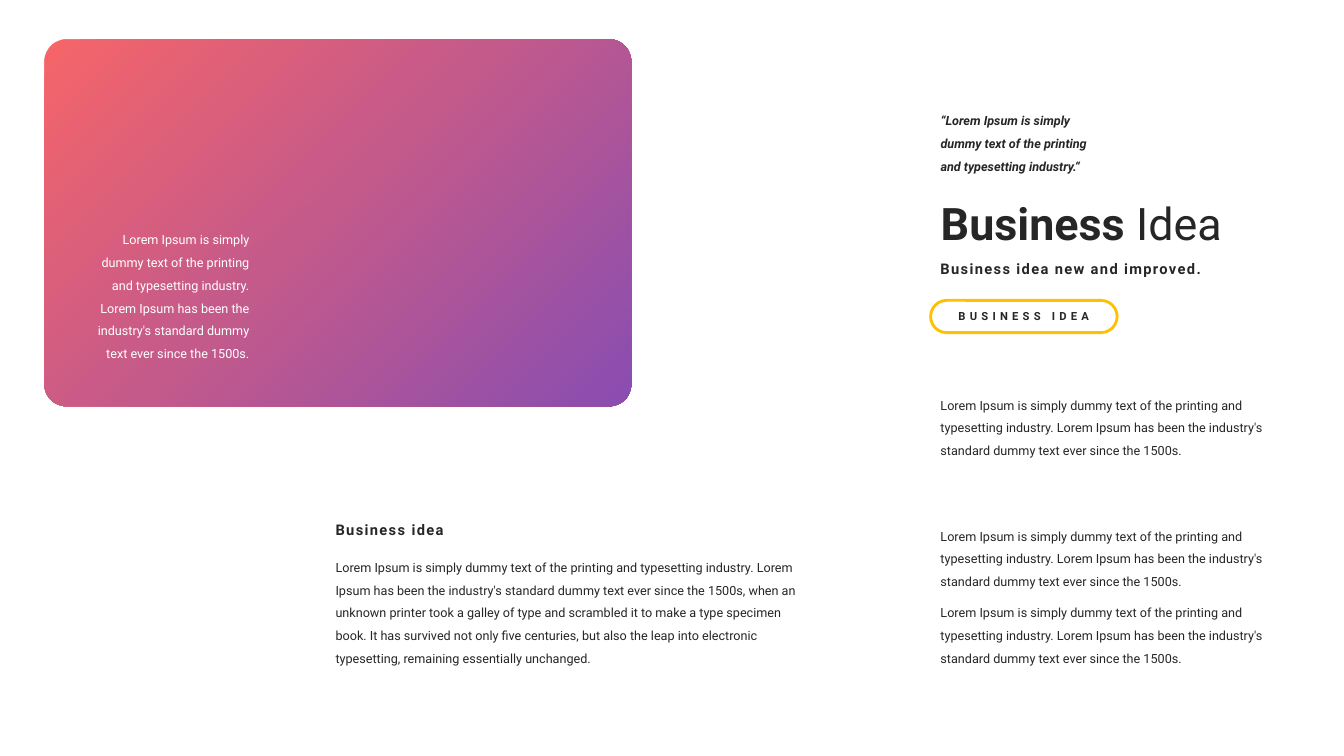
from copy import deepcopy

from pptx import Presentation
from pptx.dml.color import RGBColor
from pptx.enum.shapes import MSO_SHAPE as Shape
from pptx.enum.text import MSO_ANCHOR as Anchor, MSO_AUTO_SIZE as AutoSize, PP_ALIGN as Align
from pptx.util import Inches, Pt

FONT = "Roboto"
DARK = RGBColor(0x26, 0x26, 0x26)
WHITE = RGBColor(0xFF, 0xFF, 0xFF)
AMBER = RGBColor(0xFF, 0xC0, 0x00)
CORAL = RGBColor(0xF6, 0x65, 0x69)
ROSE = RGBColor(0xC4, 0x5A, 0x8A)
VIOLET = RGBColor(0x89, 0x4D, 0xB1)

RIGHT_COLUMN = 9.23
MIDDLE_COLUMN = 3.23
RIGHT_WIDTH = 3.57

QUOTE = "Lorem Ipsum is simply dummy text of the printing and typesetting industry."
BLURB = QUOTE + " Lorem Ipsum has been the industry's standard dummy text ever since the 1500s"
STORY = BLURB + (
    ", when an unknown printer took a galley of type and scrambled it to make a type"
    " specimen book. It has survived not only five centuries, but also the leap into"
    " electronic typesetting, remaining essentially unchanged."
)


def add_run(paragraph, text, size=9, color=DARK, bold=False, italic=False, tracking=0):
    """Append a run; tracking is the letter spacing in points."""
    run = paragraph.add_run()
    run.text = text
    run.font.name = FONT
    run.font.size = Pt(size)
    run.font.color.rgb = color
    run.font.bold = bold
    run.font.italic = italic
    if tracking:
        run._r.get_or_add_rPr().set("spc", str(tracking * 100))


def add_text(slide, text, left, top, width, height, align=Align.LEFT, line_spacing=1.5, **style):
    box = slide.shapes.add_textbox(Inches(left), Inches(top), Inches(width), Inches(height))
    frame = box.text_frame
    frame.word_wrap = True
    frame.auto_size = AutoSize.SHAPE_TO_FIT_TEXT
    paragraph = frame.paragraphs[0]
    paragraph.alignment = align
    paragraph.line_spacing = line_spacing
    add_run(paragraph, text, **style)


def add_heading(slide, text, left, top, width):
    add_text(slide, text, left, top, width, 0.29, line_spacing=1.0,
             size=10.5, bold=True, tracking=1)


def add_rounded(slide, left, top, width, height, rounding):
    shape = slide.shapes.add_shape(
        Shape.ROUNDED_RECTANGLE, Inches(left), Inches(top), Inches(width), Inches(height))
    shape.adjustments[0] = rounding
    shape.shadow.inherit = False
    return shape


def add_gradient_panel(slide):
    panel = add_rounded(slide, 0.44, 0.39, 5.82, 3.64, 0.06)
    panel.line.fill.background()
    fill = panel.fill
    fill.gradient()
    fill.gradient_angle = 315
    first_stop = fill.gradient_stops[0]._gs
    first_stop.addnext(deepcopy(first_stop))
    stops = ((0, CORAL), (0.47, ROSE), (1, VIOLET))
    for stop, (position, color) in zip(fill.gradient_stops, stops):
        stop.position = position
        stop.color.rgb = color


def add_pill(slide, text):
    pill = add_rounded(slide, RIGHT_COLUMN, 2.98, 1.85, 0.32, 0.5)
    pill.fill.background()
    pill.line.color.rgb = AMBER
    pill.line.width = Pt(2)
    frame = pill.text_frame
    frame.vertical_anchor = Anchor.MIDDLE
    paragraph = frame.paragraphs[0]
    paragraph.alignment = Align.CENTER
    add_run(paragraph, text, size=8, bold=True, tracking=3)


def fill_title(slide):
    title = slide.shapes.title
    title.left, title.top = Inches(RIGHT_COLUMN), Inches(1.89)
    title.width, title.height = Inches(3.05), Inches(0.64)
    frame = title.text_frame
    frame.word_wrap = True
    frame.auto_size = AutoSize.NONE
    frame.vertical_anchor = Anchor.TOP
    paragraph = frame.paragraphs[0]
    paragraph.alignment = Align.LEFT
    add_run(paragraph, "Business ", size=32, bold=True)
    add_run(paragraph, "Idea", size=32)


def main():
    presentation = Presentation()
    presentation.slide_width = Inches(13.33)
    presentation.slide_height = Inches(7.5)
    slide = presentation.slides.add_slide(presentation.slide_layouts.get_by_name("Title Only"))

    add_gradient_panel(slide)
    add_text(slide, BLURB + ".", 0.77, 2.18, 1.8, 1.44, align=Align.RIGHT, color=WHITE)

    add_heading(slide, "Business idea", MIDDLE_COLUMN, 5.12, 4.23)
    add_text(slide, STORY, MIDDLE_COLUMN, 5.43, 4.87, 1.21)

    add_text(slide, f"“{QUOTE}“", RIGHT_COLUMN, 1, 1.85, 0.76, bold=True, italic=True)
    fill_title(slide)
    add_heading(slide, "Business idea new and improved.", RIGHT_COLUMN, 2.53, 3.13)
    add_pill(slide, "BUSINESS IDEA")
    for top in (3.82, 5.12, 5.88):
        add_text(slide, BLURB + ".", RIGHT_COLUMN, top, RIGHT_WIDTH, 0.76)

    presentation.save("out.pptx")


if __name__ == "__main__":
    main()
